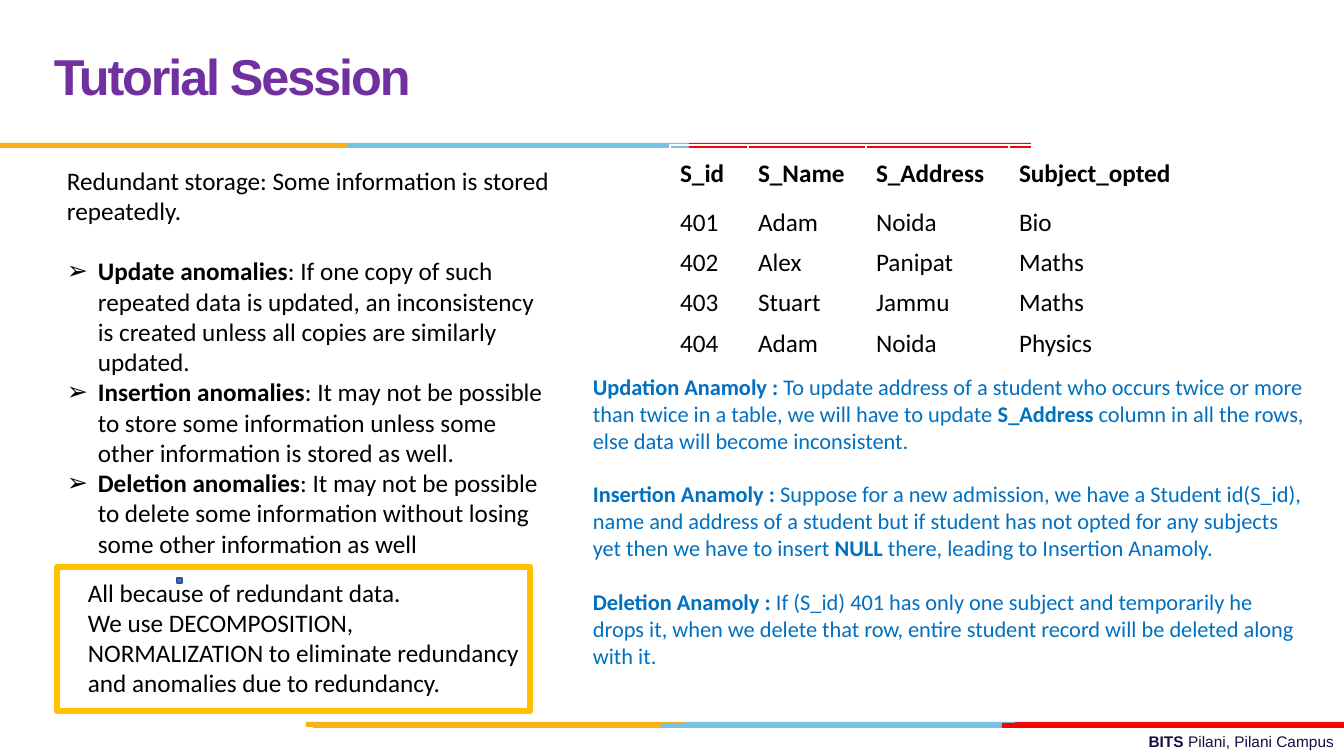
from itertools import pairwise

from lxml import etree
from pptx import Presentation
from pptx import util as u
from pptx.dml.color import RGBColor
from pptx.enum import shapes, text
from pptx.oxml.ns import qn

SCALE = 914400 / 100.8
COLORS = {
    "purple": "7030A0", "black": "000000", "prose": "0070C0", "navy": "101141",
    "amber": "FCB017", "sky": "76C2E5", "crimson": "E31C24", "red": "FF0000",
    "frame": "FFC000", "marker": "4472C4", "marker_edge": "325491",
}

ANOMALIES = [
    ("Update anomalies", ": If one copy of such repeated data is updated, an inconsistency "
     "is created unless all copies are similarly updated."),
    ("Insertion anomalies", ": It may not be possible to store some information unless some "
     "other information is stored as well."),
    ("Deletion anomalies", ": It may not be possible to delete some information without "
     "losing some other information as well"),
]
STUDENTS = [
    ["S_id", "S_Name", "S_Address", "Subject_opted"],
    ["401", "Adam", "Noida", "Bio"],
    ["402", "Alex", "Panipat", "Maths"],
    ["403", "Stuart", "Jammu", "Maths"],
    ["404", "Adam", "Noida", "Physics"],
]
# Runs alternate between bold and regular
EXAMPLES = [
    ["Updation Anamoly :", " To update address of a student who occurs twice or more than "
     "twice in a table, we will have to update ", "S_Address",
     " column in all the rows, else data will become inconsistent."],
    ["Insertion Anamoly :", " Suppose for a new admission, we have a Student id(S_id), name "
     "and address of a student but if student has not opted for any subjects yet then we "
     "have to insert ", "NULL", " there, leading to Insertion Anamoly."],
    ["Deletion Anamoly :", " If (S_id) 401 has only one subject and temporarily he drops it, "
     "when we delete that row, entire student record will be deleted along with it."],
]


def px(length):
    return u.Emu(round(length * SCALE))


def rgb(name):
    return RGBColor.from_string(COLORS[name])


def add_run(paragraph, wording, size, color, bold=False, font="Calibri"):
    run = paragraph.add_run()
    run.text = wording
    run.font.size = u.Pt(size)
    run.font.name = font
    run.font.bold = bold
    run.font.color.rgb = rgb(color)
    return run


def add_textbox(slide, left, top, width, height):
    frame = slide.shapes.add_textbox(px(left), px(top), px(width), px(height)).text_frame
    frame.word_wrap = True
    return frame


def add_rect(slide, left, top, width, height, fill=None, line=None, weight=1):
    rect = slide.shapes.add_shape(shapes.MSO_SHAPE.RECTANGLE,
                                  px(left), px(top), px(width), px(height))
    rect.shadow.inherit = False
    if fill:
        rect.fill.solid()
        rect.fill.fore_color.rgb = rgb(fill)
    else:
        rect.fill.background()
    if line:
        rect.line.color.rgb = rgb(line)
        rect.line.width = u.Pt(weight)
    else:
        rect.line.fill.background()


def add_stripe(slide, top, edges, last="red"):
    for (left, right), color in zip(pairwise(edges), ["amber", "sky", last]):
        add_rect(slide, left, top, right - left, 5, color)


def add_bullet(paragraph, indent):
    props = paragraph._p.get_or_add_pPr()
    props.set("marL", str(px(indent)))
    props.set("indent", str(-px(indent)))
    etree.SubElement(props, qn("a:buFont"), typeface="Arial")
    etree.SubElement(props, qn("a:buChar"), char="➢")


def add_students(slide, left, top, widths, heights):
    table = slide.shapes.add_table(len(heights), len(widths), px(left), px(top),
                                   px(sum(widths)), px(sum(heights))).table
    table.horz_banding = False
    for column, width in zip(table.columns, widths):
        column.width = px(width)
    for r, (row, height) in enumerate(zip(table.rows, heights)):
        row.height = px(height)
        for cell, wording in zip(row.cells, STUDENTS[r]):
            cell.fill.background()
            cell.vertical_anchor = text.MSO_ANCHOR.MIDDLE
            add_run(cell.text_frame.paragraphs[0], wording, 18, "black", bold=r == 0)


def main():
    prs = Presentation()
    prs.slide_width, prs.slide_height = px(1344), px(756)
    slide = prs.slides.add_slide(prs.slide_layouts[6])

    # Footer and coloured stripes
    footer = add_textbox(slide, 482, 727, 862, 29).paragraphs[0]
    footer.alignment = text.PP_ALIGN.RIGHT
    add_run(footer, "BITS ", 11, "navy", True, "Arial")
    add_run(footer, "Pilani, Pilani Campus", 11, "navy", False, "Arial")
    add_stripe(slide, 722, [306, 685, 1015, 1344], last="crimson")
    add_stripe(slide, 723, [313, 661, 1002, 1344])
    add_stripe(slide, 143, [0, 347, 689, 1031])

    # Title
    title_frame = add_textbox(slide, 44, 17, 929, 126)
    title_frame.vertical_anchor = text.MSO_ANCHOR.MIDDLE
    title = title_frame.paragraphs[0]
    title.line_spacing = u.Pt(36)
    heading = add_run(title, "Tutorial Session", 36, "purple", True, "Arial")
    heading.font._element.set("spc", "-150")

    # Redundancy and its anomalies
    redundancy = add_textbox(slide, 57, 160, 502, 407)
    add_run(redundancy.paragraphs[0],
            "Redundant storage: Some information is stored repeatedly.", 18, "black")
    for i, (term, meaning) in enumerate(ANOMALIES):
        anomaly = redundancy.add_paragraph()
        if i == 0:
            anomaly.space_before = u.Pt(21.6)
        add_bullet(anomaly, 31)
        add_run(anomaly, term, 18, "black", True)
        add_run(anomaly, meaning, 18, "black")

    # Student table
    add_students(slide, 670, 145, [78, 118, 143, 221], [57] + [40] * 4)

    # Worked examples
    examples = add_textbox(slide, 583, 368, 734, 308)
    for i, runs in enumerate(EXAMPLES):
        example = examples.add_paragraph() if i else examples.paragraphs[0]
        if i:
            example.space_before = u.Pt(19.2)
        for j, wording in enumerate(runs):
            add_run(example, wording, 16, "prose", bold=j % 2 == 0)

    # Framed conclusion
    conclusion = add_textbox(slide, 78, 572, 453, 132)
    add_run(conclusion.paragraphs[0], "All because of redundant data.", 18, "black")
    add_run(conclusion.add_paragraph(), "We use DECOMPOSITION, NORMALIZATION to eliminate "
            "redundancy and anomalies due to redundancy.", 18, "black")
    add_rect(slide, 177, 578, 5, 5, "marker", "marker_edge")
    add_rect(slide, 57, 567, 473, 144, line="frame", weight=4.5)

    prs.save("out.pptx")


if __name__ == "__main__":
    main()
